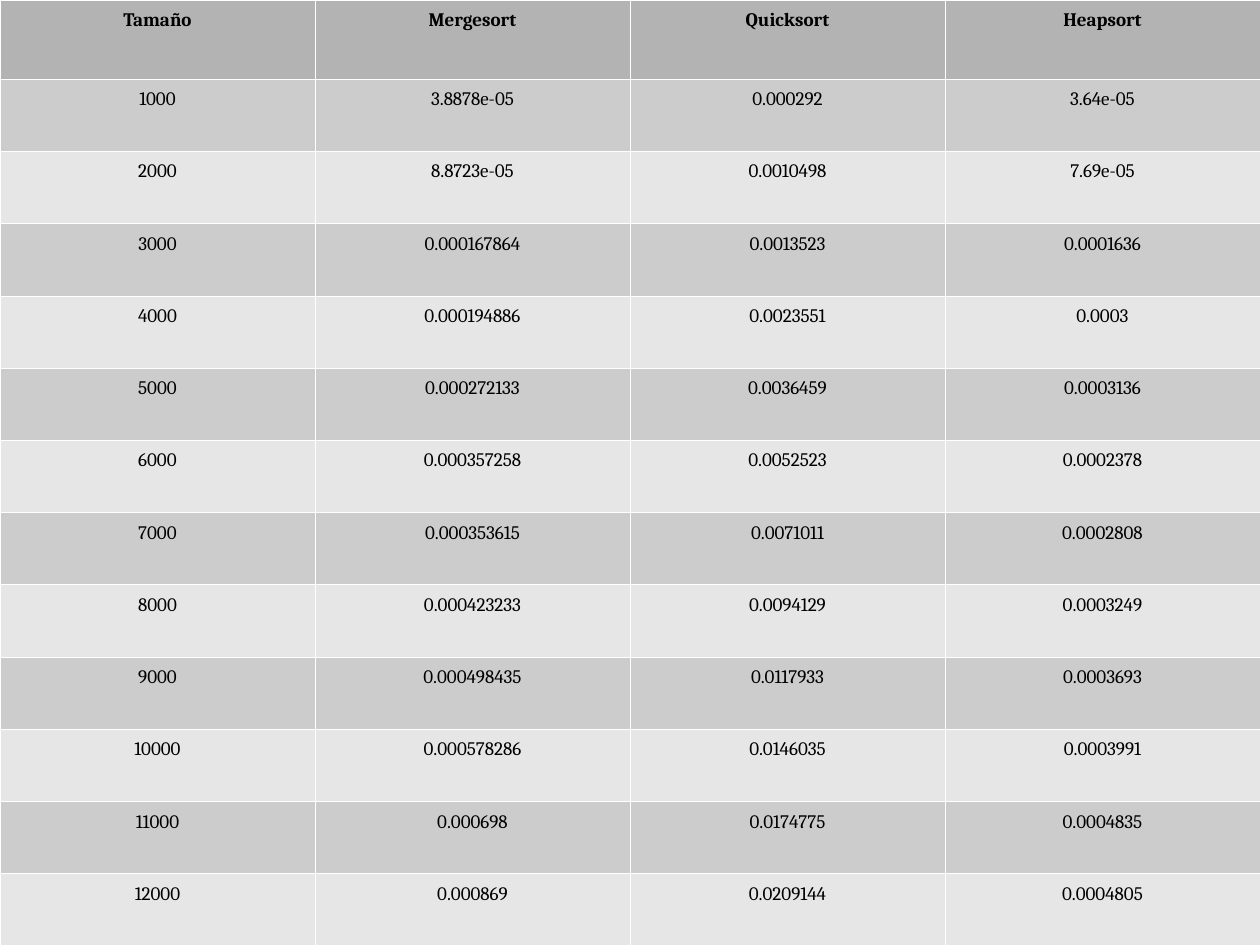
import pptx
import pptx.dml.color
import pptx.enum.text
import pptx.oxml
import pptx.oxml.ns
import pptx.util

EMU_PER_PX = 8000
SLIDE_W, SLIDE_H = 1260, 945
HEADER_H, BODY_H = 79, 867
FONT, FONT_PT = "Cambria", 12
BORDER_PT = 0.11
COLORS = {
    "header": "B3B3B3",
    "odd": "CCCCCC",
    "even": "E6E6E6",
    "border": "FFFFFF",
    "text": "000000",
}

HEADERS = ["Tamaño", "Mergesort", "Quicksort", "Heapsort"]
TIMES = [
    ["1000", "3.8878e-05", "0.000292", "3.64e-05"],
    ["2000", "8.8723e-05", "0.0010498", "7.69e-05"],
    ["3000", "0.000167864", "0.0013523", "0.0001636"],
    ["4000", "0.000194886", "0.0023551", "0.0003"],
    ["5000", "0.000272133", "0.0036459", "0.0003136"],
    ["6000", "0.000357258", "0.0052523", "0.0002378"],
    ["7000", "0.000353615", "0.0071011", "0.0002808"],
    ["8000", "0.000423233", "0.0094129", "0.0003249"],
    ["9000", "0.000498435", "0.0117933", "0.0003693"],
    ["10000", "0.000578286", "0.0146035", "0.0003991"],
    ["11000", "0.000698", "0.0174775", "0.0004835"],
    ["12000", "0.000869", "0.0209144", "0.0004805"],
]


def px(n):
    return pptx.util.Emu(n * EMU_PER_PX)


def rgb(name):
    return pptx.dml.color.RGBColor.from_string(COLORS[name])


def set_borders(cell):
    tc_pr = cell._tc.get_or_add_tcPr()
    for side in ("lnL", "lnR", "lnT", "lnB"):
        tc_pr.append(pptx.oxml.parse_xml(
            f'<a:{side} {pptx.oxml.ns.nsdecls("a")} w="{pptx.util.Pt(BORDER_PT)}">'
            f'<a:solidFill><a:srgbClr val="{COLORS["border"]}"/></a:solidFill>'
            f'</a:{side}>'))


def fill_cell(cell, text, fill, bold):
    set_borders(cell)
    cell.fill.solid()
    cell.fill.fore_color.rgb = rgb(fill)
    cell.text_frame.text = text
    p = cell.text_frame.paragraphs[0]
    p.alignment = pptx.enum.text.PP_ALIGN.CENTER
    p.line_spacing = 1.18
    font = p.runs[0].font
    font.name = FONT
    font.size = pptx.util.Pt(FONT_PT)
    font.bold = bold
    font.color.rgb = rgb("text")


def add_times_table(s):
    rows = [HEADERS] + TIMES
    table = s.shapes.add_table(len(rows), len(HEADERS), 0, 0,
                               px(SLIDE_W), px(HEADER_H + BODY_H)).table
    table.first_row = True
    table.horz_banding = False
    for col in table.columns:
        col.width = px(SLIDE_W // len(HEADERS))
    for i, values in enumerate(rows):
        is_header = i == 0
        table.rows[i].height = px(HEADER_H) if is_header else px(BODY_H) // len(TIMES)
        fill = "header" if is_header else "odd" if i % 2 else "even"
        for j, value in enumerate(values):
            fill_cell(table.cell(i, j), value, fill, is_header)


def main():
    prs = pptx.Presentation()
    prs.slide_width, prs.slide_height = px(SLIDE_W), px(SLIDE_H)
    s = prs.slides.add_slide(prs.slide_layouts.get_by_name("Blank"))
    add_times_table(s)
    prs.save("out.pptx")


if __name__ == "__main__":
    main()
